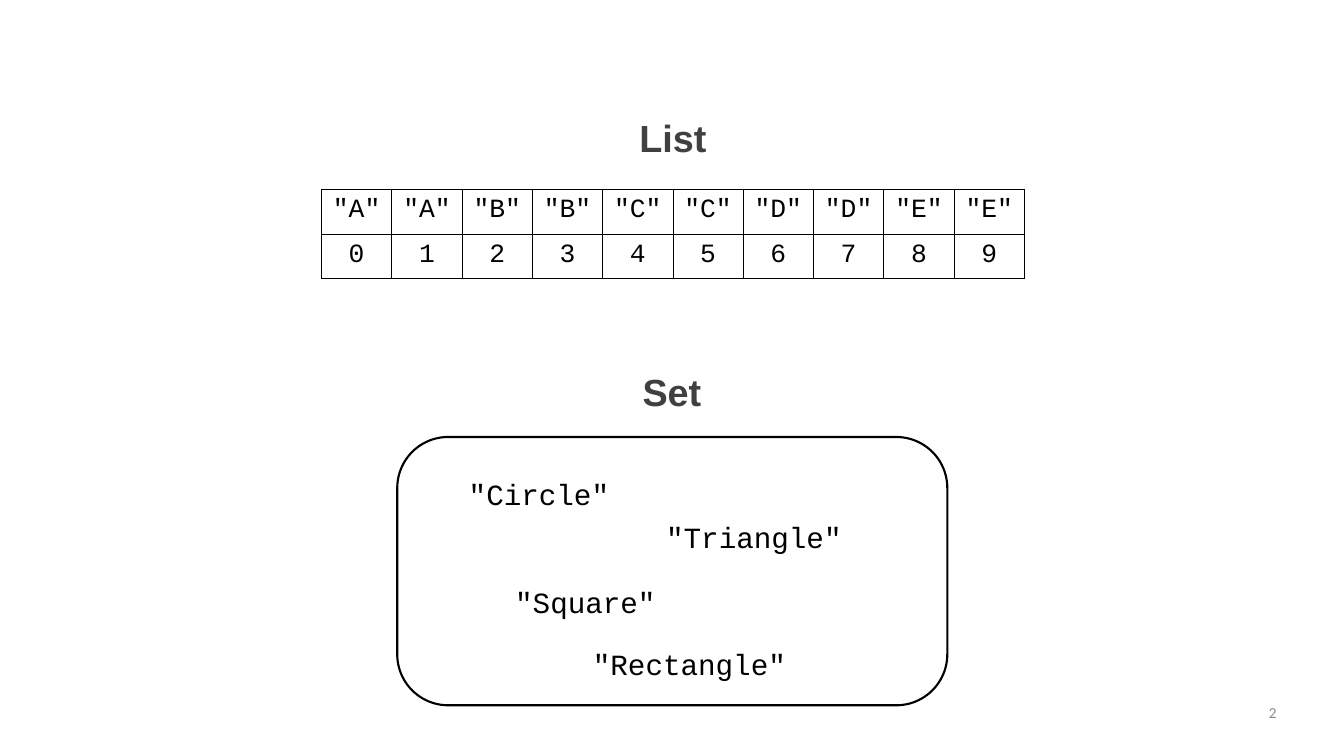
from lxml import etree
from pptx import Presentation
from pptx import util as u
from pptx.dml.color import RGBColor
from pptx.enum import shapes, text
from pptx.oxml import ns

PX = 9144
COLORS = {"ink": "000000", "heading": "404040", "number": "8C8C8C"}
LETTERS = "AABBCCDDEE"
CELL_W, CELL_H = 115, 73
LEFT, CENTER, RIGHT = text.PP_ALIGN.LEFT, text.PP_ALIGN.CENTER, text.PP_ALIGN.RIGHT
HEADING = ("Arial", 44.5, "heading", True)
CODE = ("Courier New", 34.5, "ink", False)
CELL = ("Courier New", 31, "ink", False)
NUMBER = ("Calibri", 18, "number", False)


def px(n):
    """Turn px into EMU."""
    return u.Emu(n * PX)


def rgb(name):
    """Look up a named colour."""
    return RGBColor.from_string(COLORS[name])


def style(p, look, align=LEFT, indent=0, before=0):
    """Set the font, alignment, indent and space before of a paragraph."""
    name, size, color, bold = look
    p.alignment = align
    if indent:
        p._p.get_or_add_pPr().set("marL", str(px(indent)))
    if before:
        p.space_before = u.Pt(before)
    p.font.name, p.font.size, p.font.bold = name, u.Pt(size), bold
    p.font.color.rgb = rgb(color)


def add_text(s, box, lines, top=0):
    """Add a text box with one styled paragraph per line."""
    tf = s.shapes.add_textbox(*map(px, box)).text_frame
    tf.word_wrap = True
    tf.margin_left = tf.margin_right = tf.margin_bottom = 0
    tf.margin_top = px(top)
    for i, (words, *looks) in enumerate(lines):
        p = tf.add_paragraph() if i else tf.paragraphs[0]
        p.text = words
        style(p, *looks)


def add_borders(cell):
    """Draw a thin line on all four sides of a cell."""
    tc_pr = cell._tc.get_or_add_tcPr()
    for i, side in enumerate(("lnL", "lnR", "lnT", "lnB")):
        ln = etree.Element(ns.qn(f"a:{side}"), w=str(u.Pt(1)))
        fill = etree.SubElement(ln, ns.qn("a:solidFill"))
        etree.SubElement(fill, ns.qn("a:srgbClr"), val=COLORS["ink"])
        tc_pr.insert(i, ln)


def add_list(s, left, top):
    """Add the table of list items above their indexes."""
    rows = [[f'"{c}"' for c in LETTERS], [str(i) for i in range(len(LETTERS))]]
    cols = len(LETTERS)
    size = px(cols * CELL_W), px(len(rows) * CELL_H)
    table = s.shapes.add_table(len(rows), cols, px(left), px(top), *size).table
    table.first_row = table.horz_banding = False
    for column in table.columns:
        column.width = px(CELL_W)
    for r, row in enumerate(rows):
        table.rows[r].height = px(CELL_H)
        for c, words in enumerate(row):
            cell = table.cell(r, c)
            cell.fill.background()
            cell.margin_left = cell.margin_right = cell.margin_bottom = 0
            cell.margin_top = px(10)
            cell.text = words
            style(cell.text_frame.paragraphs[0], CELL, CENTER)
            add_borders(cell)


def add_frame(s, box):
    """Add the rounded outline around the set."""
    sp = s.shapes.add_shape(shapes.MSO_SHAPE.ROUNDED_RECTANGLE, *map(px, box))
    sp.adjustments[0] = 0.19
    sp.shadow.inherit = False
    sp.fill.background()
    sp.line.color.rgb = rgb("ink")
    sp.line.width = u.Pt(2.5)


def main():
    """Build and save the slide."""
    prs = Presentation()
    prs.slide_width, prs.slide_height = px(2199), px(1237)
    s = prs.slides.add_slide(prs.slide_layouts[6])
    add_list(s, 526, 310)
    add_text(s, (1045, 185, 120, 77), [("List", HEADING, LEFT, 1)], 3)
    add_frame(s, (650, 715, 900, 439))
    add_text(s, (766, 600, 614, 505), [
        ("Set", HEADING, CENTER, 53),
        ('"Circle"', CODE, LEFT, 1, 73),
        ('"Triangle"', CODE, LEFT, 324, 10),
        ('"Square"', CODE, LEFT, 77, 35),
        ('"Rectangle"', CODE, CENTER, 110, 31),
    ], 3)
    add_text(s, (1583, 1150, 506, 62), [("2", NUMBER, RIGHT)])
    prs.save("out.pptx")


if __name__ == "__main__":
    main()
